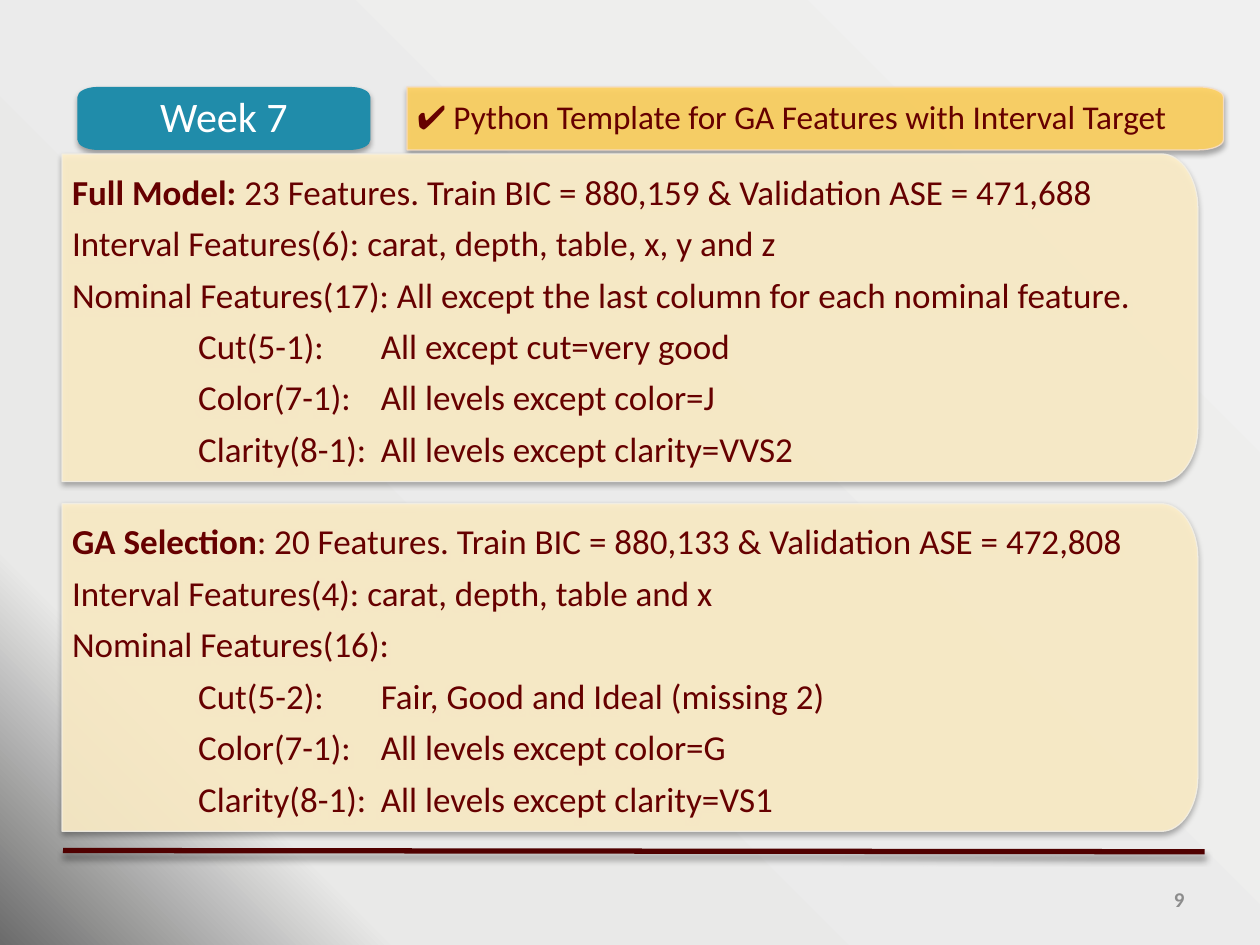
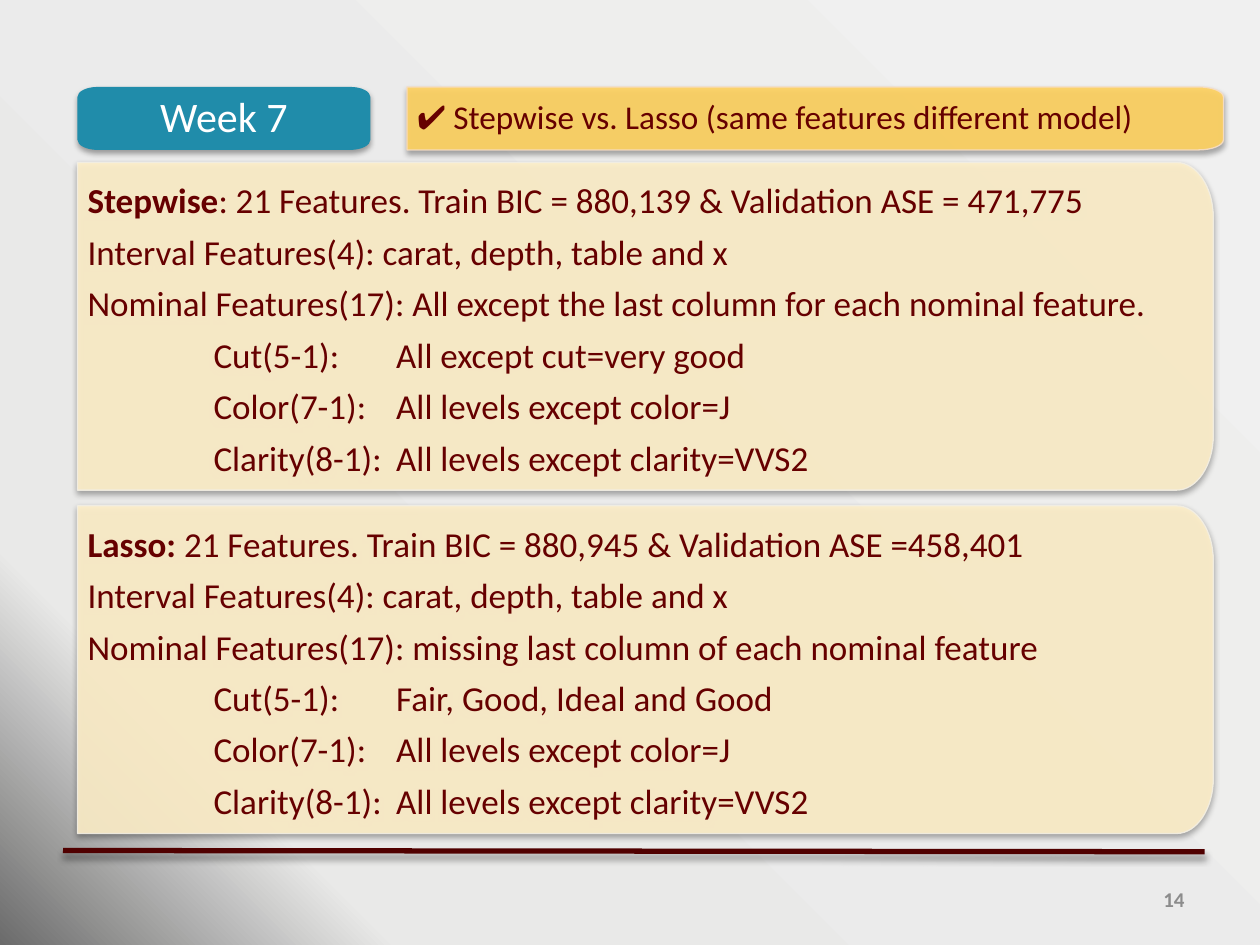
from dataclasses import dataclass

from lxml.etree import SubElement
from pptx import Presentation
from pptx.dml.color import RGBColor
from pptx.enum.shapes import MSO_CONNECTOR
from pptx.enum.text import MSO_ANCHOR, MSO_AUTO_SIZE, PP_ALIGN
from pptx.oxml import parse_xml
from pptx.oxml.ns import nsdecls, qn
from pptx.util import Inches, Pt


@dataclass(frozen=True)
class Theme:
    font: str = "Calibri"
    tick_font: str = "Arial"
    ink: str = "660000"
    white: str = "FFFFFF"
    badge: str = "208CAA"
    bar: str = "FFD25F"
    bar_edge: str = "F7DEC6"
    panel: str = "FFF0CA"
    panel_edge: str = "F3EFE4"
    rule: str = "500000"
    number: str = "8C8C8C"
    background: tuple = ((0, "F0F0F0"), (82, "E9E9E8"), (100, "6B6B6B"))
    badge_size: int = 24
    title_size: int = 19
    body_size: int = 20
    number_size: int = 12


THEME = Theme()
COLUMNS, ROWS = 100, 75
WIDTH, HEIGHT = Inches(10), Inches(7.5)
CURVE = 0.55  # share of a corner radius that a quarter-ellipse handle spans

# Insets: left, top, right, bottom, in inches
BOX_INSETS = (0.08, 0.1, 0.14, 0.1)
BADGE_INSETS = (0.21, 0.14, 0.21, 0.14)
NUMBER_INSETS = (0.1, 0.05, 0.1, 0.05)

# Places on the grid: column, row, columns wide, rows high
BADGE_AREA = (6.15, 6.9, 23.25, 5)
BAR_AREA = (32.3, 6.9, 64.8, 5)
NUMBER_AREA = (71.7, 69.4, 23.3, 4)
PANEL_SIZE = (90.15, 26)
LEVEL_INDENT = 10
VALUE_TABS = (14.5, 24.5)  # counted from the indent, and from the text edge

ALL_EXCEPT_LAST = "Nominal Features(17): All except the last column for each nominal feature."
FOUR_INTERVALS = "Interval Features(4): carat, depth, table and x"
FULL_LEVELS = [
    ("Cut(5-1):", "All except cut=very good"),
    ("Color(7-1):", "All levels except color=J"),
    ("Clarity(8-1):", "All levels except clarity=VVS2"),
]

SLIDES = [
    {
        "title": "Python Template for GA Features with Interval Target",
        "number": 9,
        "column": 4.93,
        "panels": [
            (12.22, "Full Model:",
             " 23 Features. Train BIC = 880,159 & Validation ASE = 471,688",
             ["Interval Features(6): carat, depth, table, x, y and z", ALL_EXCEPT_LAST],
             FULL_LEVELS),
            (39.98, "GA Selection",
             ": 20 Features. Train BIC = 880,133 & Validation ASE = 472,808",
             [FOUR_INTERVALS, "Nominal Features(16):"],
             [("Cut(5-2):", "Fair, Good and Ideal (missing 2)"),
              ("Color(7-1):", "All levels except color=G"),
              ("Clarity(8-1):", "All levels except clarity=VS1")]),
        ],
    },
    {
        "title": "Stepwise vs. Lasso (same features different model)",
        "number": 14,
        "column": 6.15,
        "panels": [
            (12.9, "Stepwise",
             ": 21 Features. Train BIC = 880,139 & Validation ASE = 471,775",
             [FOUR_INTERVALS, ALL_EXCEPT_LAST],
             FULL_LEVELS),
            (40.15, "Lasso:",
             " 21 Features. Train BIC = 880,945 & Validation ASE =458,401",
             [FOUR_INTERVALS,
              "Nominal Features(17): missing last column of each nominal feature"],
             [("Cut(5-1):", "Fair, Good, Ideal and Good")] + FULL_LEVELS[1:]),
        ],
    },
]


def col(count):
    return round(WIDTH * count / COLUMNS)


def row(count):
    return round(HEIGHT * count / ROWS)


def place(area):
    left, top, width, height = area
    return col(left), row(top), col(width), row(height)


# Formatting
def set_alpha(properties, percent):
    for color in properties.iter(qn("a:srgbClr")):
        SubElement(color, qn("a:alpha"), val=str(percent * 1000))


def add_shadow(element, opacity, blur, distance):
    element.spPr.append(parse_xml(
        f'<a:effectLst {nsdecls("a")}><a:outerShdw blurRad="{Pt(blur)}" '
        f'dist="{Pt(distance)}" dir="5400000" rotWithShape="0"><a:srgbClr val="000000">'
        f'<a:alpha val="{opacity * 1000}"/></a:srgbClr></a:outerShdw></a:effectLst>'))


def set_frame(frame, insets):
    frame.word_wrap = True
    frame.auto_size = MSO_AUTO_SIZE.NONE
    frame.vertical_anchor = MSO_ANCHOR.MIDDLE
    (frame.margin_left, frame.margin_top,
     frame.margin_right, frame.margin_bottom) = map(Inches, insets)


def set_paragraph(paragraph, align=PP_ALIGN.LEFT, spacing=1.0, after=0):
    paragraph.alignment = align
    paragraph.line_spacing = spacing
    paragraph.space_after = Pt(after)


def add_run(paragraph, text, size, color=THEME.ink, bold=False, font=THEME.font):
    run = paragraph.add_run()
    run.text = text
    run.font.name = font
    run.font.size = Pt(size)
    run.font.bold = bold
    run.font.color.rgb = RGBColor.from_string(color)


# Outlined boxes with elliptical corners
def outline(area, radius, round_left):
    left, top, width, height = place(area)
    right, bottom = left + width, top + height
    rx, ry = col(radius[0]), row(radius[1])
    # Each corner with the directions that lead into and out of it
    corners = [(right, top, (-rx, 0), (0, ry)), (right, bottom, (0, -ry), (-rx, 0)),
               (left, bottom, (rx, 0), (0, -ry)), (left, top, (0, ry), (rx, 0))]
    for x, y, before, after in corners:
        if x == right or round_left:
            for (dx, dy), share in [(before, 1), (before, 1 - CURVE),
                                    (after, 1 - CURVE), (after, 1)]:
                yield round(x + dx * share), round(y + dy * share)
        else:
            yield x, y


def curve_corners(box, corner_count):
    segments = list(box._element.iter(qn("a:lnTo")))
    for first in range(0, 4 * corner_count, 4):
        curve = parse_xml(f'<a:cubicBezTo {nsdecls("a")}/>')
        segments[first].addprevious(curve)
        for segment in segments[first:first + 3]:
            curve.append(segment[0])
            segment.getparent().remove(segment)


def add_box(slide, area, radius, fill, edge=None, round_left=False):
    start, *points = outline(area, radius, round_left)
    builder = slide.shapes.build_freeform(*start, scale=1.0)
    builder.add_line_segments(points, close=True)
    box = builder.convert_to_shape()
    curve_corners(box, 4 if round_left else 2)
    box.fill.solid()
    box.fill.fore_color.rgb = RGBColor.from_string(fill)
    if edge:
        box.line.color.rgb = RGBColor.from_string(edge)
        box.line.width = Pt(0.75)
        set_alpha(box._element.spPr, 90)
    else:
        box.line.fill.background()
    add_shadow(box._element, 35, 3.1, 1.8)
    return box


# Parts of a slide
def add_badge(slide, label):
    badge = add_box(slide, BADGE_AREA, (1.6, 0.8), THEME.badge, round_left=True)
    set_frame(badge.text_frame, BADGE_INSETS)
    line = badge.text_frame.paragraphs[0]
    set_paragraph(line, PP_ALIGN.CENTER, 0.9)
    add_run(line, label, THEME.badge_size, THEME.white)


def add_title(slide, text):
    bar = add_box(slide, BAR_AREA, (2, 0.8), THEME.bar, THEME.bar_edge)
    title = slide.shapes.title
    title._element.addprevious(bar._element)
    title.left, title.top, title.width, title.height = place(BAR_AREA)
    set_frame(title.text_frame, BOX_INSETS)
    line = title.text_frame.paragraphs[0]
    set_paragraph(line, spacing=0.9)
    add_run(line, "✔", THEME.title_size, font=THEME.tick_font)
    add_run(line, " " + text, THEME.title_size)


def add_panel(slide, column, top, model, scores, feature_lines, levels):
    panel = add_box(slide, (column, top, *PANEL_SIZE), (2.9, 4.35),
                    THEME.panel, THEME.panel_edge)
    frame = panel.text_frame
    set_frame(frame, BOX_INSETS)
    heading = frame.paragraphs[0]
    set_paragraph(heading, spacing=1.1, after=3)
    add_run(heading, model, THEME.body_size, bold=True)
    add_run(heading, scores, THEME.body_size)
    for text in feature_lines:
        line = frame.add_paragraph()
        set_paragraph(line, spacing=1.1, after=3)
        add_run(line, text, THEME.body_size)
    # Nominal levels: indented, with values aligned at a tab stop
    for feature, kept in levels:
        line = frame.add_paragraph()
        set_paragraph(line, spacing=1.1, after=3)
        properties = line._p.get_or_add_pPr()
        properties.set("marL", str(col(LEVEL_INDENT)))
        tabs = SubElement(properties, qn("a:tabLst"))
        for stop in VALUE_TABS:
            SubElement(tabs, qn("a:tab"), pos=str(col(stop)), algn="l")
        add_run(line, f"{feature}\t{kept}", THEME.body_size)


def add_footer(slide, number):
    rule = slide.shapes.add_connector(
        MSO_CONNECTOR.STRAIGHT, col(5), row(67.5), col(95.6), row(67.6))
    rule.line.color.rgb = RGBColor.from_string(THEME.rule)
    rule.line.width = Pt(3)
    add_shadow(rule._element, 40, 4, 3)
    page = slide.shapes.add_textbox(*place(NUMBER_AREA))
    set_frame(page.text_frame, NUMBER_INSETS)
    line = page.text_frame.paragraphs[0]
    set_paragraph(line, PP_ALIGN.RIGHT)
    add_run(line, str(number), THEME.number_size, THEME.number, bold=True)


def set_background(master):
    stops = "".join(f'<a:gs pos="{share * 1000}"><a:srgbClr val="{color}"/></a:gs>'
                    for share, color in THEME.background)
    content = master._element.cSld
    content.remove(content.bg)
    content.insert(0, parse_xml(
        f'<p:bg {nsdecls("p", "a")}><p:bgPr><a:gradFill rotWithShape="1">'
        f'<a:gsLst>{stops}</a:gsLst><a:path path="circle">'
        '<a:fillToRect l="100000" b="100000"/></a:path></a:gradFill>'
        '<a:effectLst/></p:bgPr></p:bg>'))


def main():
    deck = Presentation()
    deck.slide_width, deck.slide_height = WIDTH, HEIGHT
    set_background(deck.slide_master)
    title_only = deck.slide_layouts[5]
    for content in SLIDES:
        slide = deck.slides.add_slide(title_only)
        add_footer(slide, content["number"])
        add_title(slide, content["title"])
        add_badge(slide, "Week 7")
        for panel in content["panels"]:
            add_panel(slide, content["column"], *panel)
    deck.save("out.pptx")


if __name__ == "__main__":
    main()
